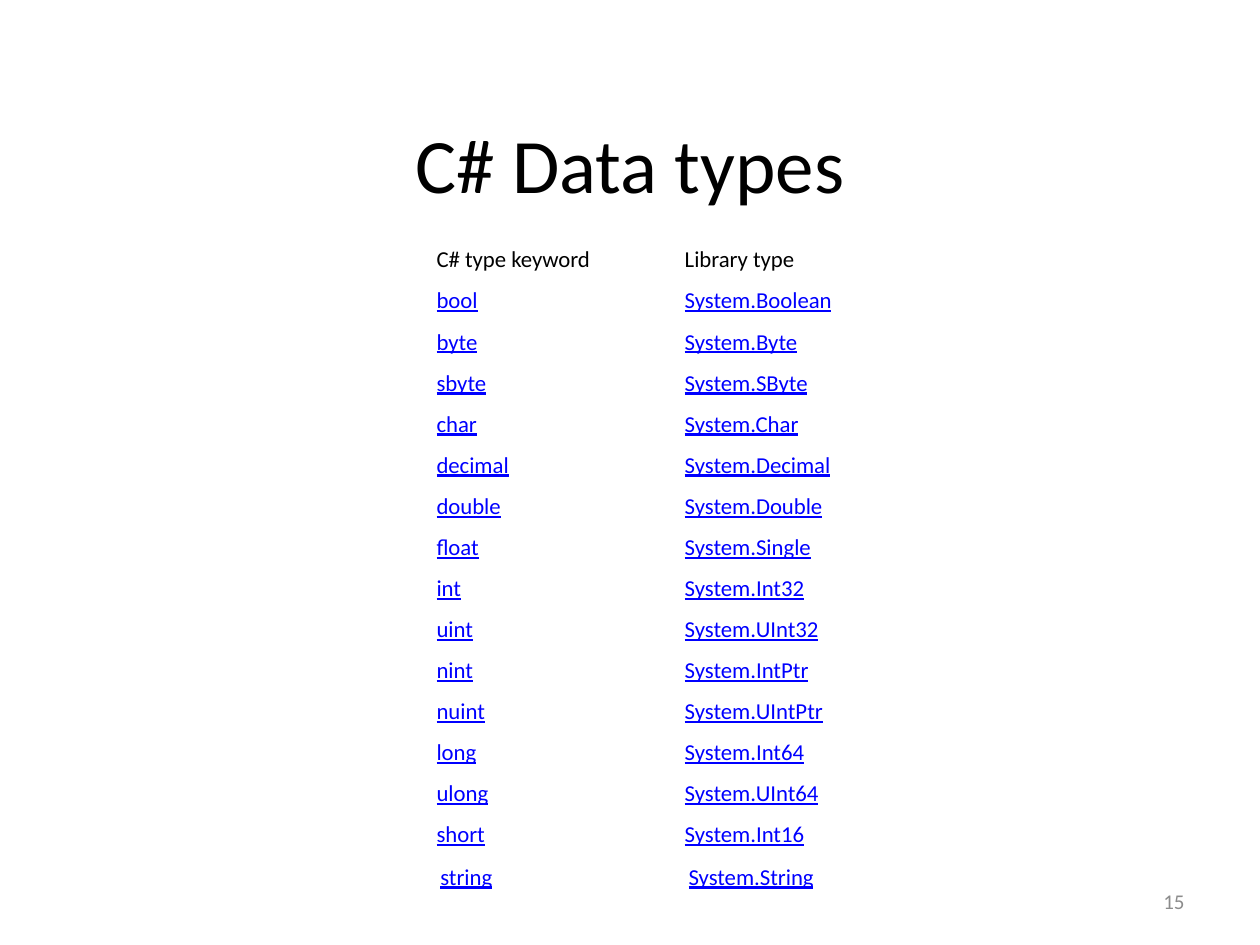
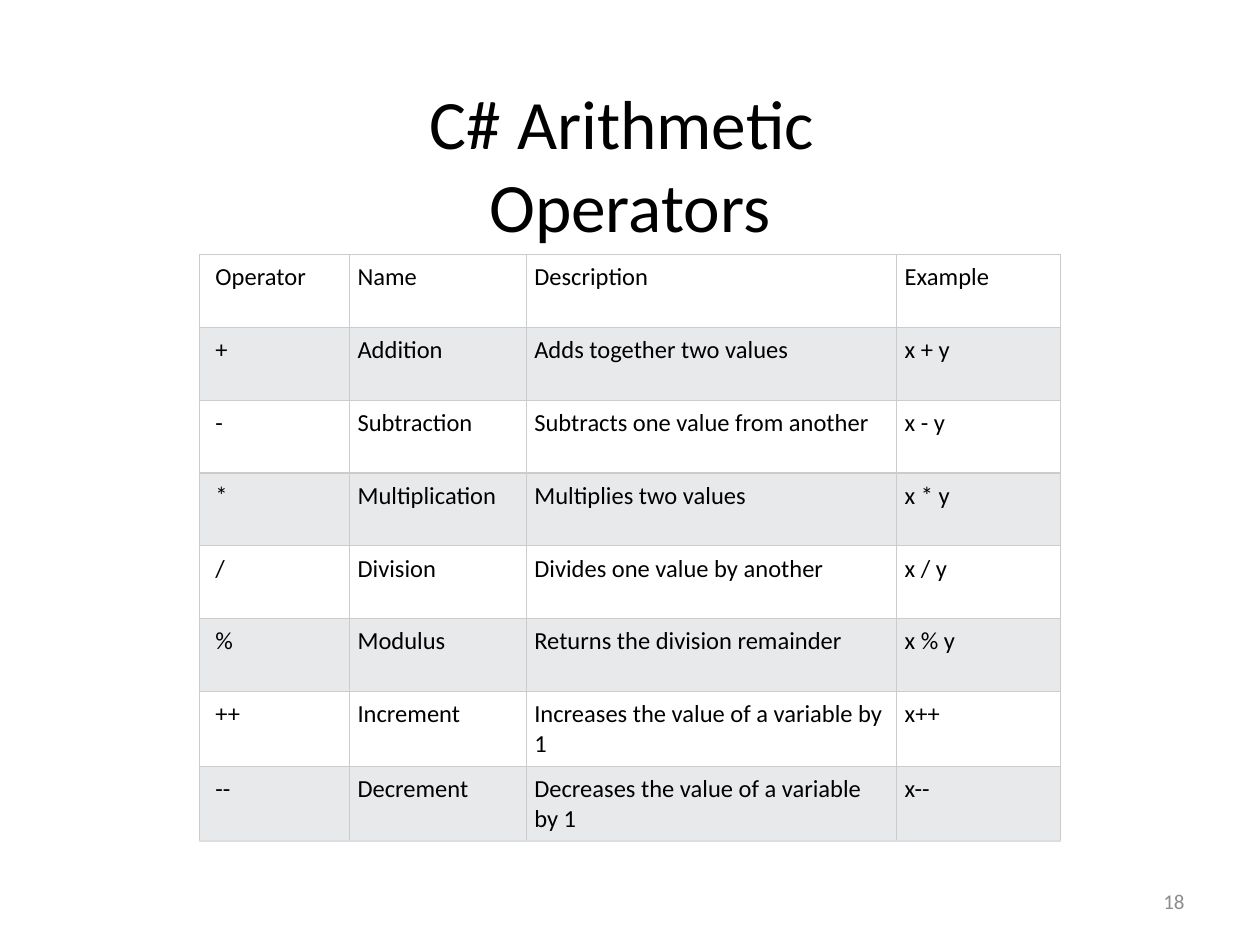
from dataclasses import dataclass
from typing import Optional

from lxml.etree import SubElement
from pptx import Presentation
from pptx.dml.color import RGBColor
from pptx.enum.text import MSO_ANCHOR, MSO_AUTO_SIZE, PP_ALIGN
from pptx.oxml.ns import qn
from pptx.util import Emu, Inches, Pt

# Shared look
FONT = "Calibri"
BLACK = RGBColor(0x00, 0x00, 0x00)
WHITE = RGBColor(0xFF, 0xFF, 0xFF)
LINK_BLUE = RGBColor(0x00, 0x00, 0xFF)
NUMBER_GREY = RGBColor(0x8C, 0x8C, 0x8C)
BAND_GREY = RGBColor(0xE7, 0xE9, 0xEB)
RULE_GREY = RGBColor(0xCC, 0xCC, 0xCC)
LAST_RULE_GREY = RGBColor(0xDD, 0xDD, 0xDD)

# Slide grid: 100 columns by 75 rows
SLIDE_W, SLIDE_H = Inches(10), Inches(7.5)
COLS, ROWS = 100, 75


def cols(n: float) -> Emu:
    return Emu(round(SLIDE_W * n / COLS))


def rows(n: float) -> Emu:
    return Emu(round(SLIDE_H * n / ROWS))


@dataclass(frozen=True)
class Box:
    """A place on the slide grid."""
    x: float
    y: float
    w: float
    h: float

    def place(self) -> tuple[Emu, Emu, Emu, Emu]:
        return cols(self.x), rows(self.y), cols(self.w), rows(self.h)


@dataclass(frozen=True)
class TextStyle:
    size: float
    color: RGBColor = BLACK
    underline: Optional[bool] = None


@dataclass(frozen=True)
class Margins:
    left: float
    right: float
    vertical: float


@dataclass(frozen=True)
class TableDesign:
    x: float
    y: float
    col_widths: tuple[float, ...]
    row_heights: tuple[float, ...]
    header: TextStyle
    body: TextStyle
    band: RGBColor
    ruled: bool


TITLE_BOX = Box(5, 6.7, 90, 12.5)
NUMBER_BOX = Box(71.7, 69.5, 23.3, 4)
NUMBER_STYLE = TextStyle(12, NUMBER_GREY)

# Data types table
TYPE_ROWS = [
    ("C# type keyword", "Library type"),
    ("bool", "System.Boolean"),
    ("byte", "System.Byte"),
    ("sbyte", "System.SByte"),
    ("char", "System.Char"),
    ("decimal", "System.Decimal"),
    ("double", "System.Double"),
    ("float", "System.Single"),
    ("int", "System.Int32"),
    ("uint", "System.UInt32"),
    ("nint", "System.IntPtr"),
    ("nuint", "System.UIntPtr"),
    ("long", "System.Int64"),
    ("ulong", "System.UInt64"),
    ("short", "System.Int16"),
    ("string", "System.String"),
]
TYPE_DESIGN = TableDesign(
    x=33.95, y=19.15, col_widths=(19.7,) * 2, row_heights=(3.26,) * 15 + (3.6,),
    header=TextStyle(13), body=TextStyle(13, LINK_BLUE, True),
    band=WHITE, ruled=False)
TYPE_MARGINS = Margins(0.7, 0.7, 0.4)
LAST_TYPE_MARGINS = Margins(1, 1, 0.5)

# Operators table
OPERATOR_ROWS = [
    ("Operator", "Name", "Description", "Example"),
    ("+", "Addition", "Adds together two values", "x + y"),
    ("-", "Subtraction", "Subtracts one value from another", "x - y"),
    ("*", "Multiplication", "Multiplies two values", "x * y"),
    ("/", "Division", "Divides one value by another", "x / y"),
    ("%", "Modulus", "Returns the division remainder", "x % y"),
    ("++", "Increment", "Increases the value of a variable by 1", "x++"),
    ("--", "Decrement", "Decreases the value of a variable by 1", "x--"),
]
OPERATOR_DESIGN = TableDesign(
    x=15.8, y=20.2, col_widths=(11.95, 14.03, 29.4, 13), row_heights=(5.78,) * 8,
    header=TextStyle(14), body=TextStyle(14), band=BAND_GREY, ruled=True)
FIRST_OPERATOR_MARGINS = Margins(1.3, 0.63, 0.63)
OPERATOR_MARGINS = Margins(0.63, 0.63, 0.63)


def add_run(p, text: str, style: TextStyle) -> None:
    r = p.add_run()
    r.text = text
    r.font.name = FONT
    r.font.size = Pt(style.size)
    r.font.color.rgb = style.color
    r.font.underline = style.underline


def add_slide(prs, title_lines: list[str], title_size: float, number: str):
    """Add a slide with its title and slide number."""
    s = prs.slides.add_slide(prs.slide_layouts[5])
    title = s.shapes.title
    title.left, title.top, title.width, title.height = TITLE_BOX.place()
    tf = title.text_frame
    tf.auto_size = MSO_AUTO_SIZE.NONE
    tf.vertical_anchor = MSO_ANCHOR.MIDDLE
    p = tf.paragraphs[0]
    p.alignment = PP_ALIGN.CENTER
    for i, line in enumerate(title_lines):
        if i:
            p.add_line_break()
        add_run(p, line, TextStyle(title_size))

    tf = s.shapes.add_textbox(*NUMBER_BOX.place()).text_frame
    tf.word_wrap = True
    tf.vertical_anchor = MSO_ANCHOR.MIDDLE
    p = tf.paragraphs[0]
    p.alignment = PP_ALIGN.RIGHT
    add_run(p, number, NUMBER_STYLE)
    return s


def add_borders(cell, bottom: RGBColor) -> None:
    tc_pr = cell._tc.get_or_add_tcPr()
    for side in "LRTB":
        ln = SubElement(tc_pr, qn(f"a:ln{side}"), w=str(Pt(0.75)))
        fill = SubElement(ln, qn("a:solidFill"))
        color = bottom if side == "B" else RULE_GREY
        SubElement(fill, qn("a:srgbClr"), val=str(color))


def cell_margins(design: TableDesign, row: int, col: int) -> Margins:
    if design.ruled:
        return OPERATOR_MARGINS if col else FIRST_OPERATOR_MARGINS
    is_last = row == len(design.row_heights) - 1
    return LAST_TYPE_MARGINS if is_last else TYPE_MARGINS


def add_data_table(s, design: TableDesign, data: list[tuple[str, ...]]) -> None:
    box = Box(design.x, design.y, sum(design.col_widths), sum(design.row_heights))
    table = s.shapes.add_table(len(data), len(data[0]), *box.place()).table
    table.first_row = table.horz_banding = False
    for column, width in zip(table.columns, design.col_widths):
        column.width = cols(width)
    for row, height in zip(table.rows, design.row_heights):
        row.height = rows(height)

    for i, texts in enumerate(data):
        for j, text in enumerate(texts):
            cell = table.cell(i, j)
            m = cell_margins(design, i, j)
            cell.margin_left, cell.margin_right = cols(m.left), cols(m.right)
            cell.margin_top = cell.margin_bottom = rows(m.vertical)
            if design.ruled:
                is_last = i == len(data) - 1
                add_borders(cell, LAST_RULE_GREY if is_last else RULE_GREY)
            cell.fill.solid()
            cell.fill.fore_color.rgb = design.band if i % 2 else WHITE
            style = design.body if i else design.header
            add_run(cell.text_frame.paragraphs[0], text, style)


def main() -> None:
    prs = Presentation()
    prs.slide_width, prs.slide_height = SLIDE_W, SLIDE_H

    # Data types
    s = add_slide(prs, ["C# Data types"], 44, "15")
    add_data_table(s, TYPE_DESIGN, TYPE_ROWS)

    # Arithmetic operators
    s = add_slide(prs, ["C# Arithmetic ", "Operators"], 39.6, "18")
    add_data_table(s, OPERATOR_DESIGN, OPERATOR_ROWS)

    prs.save("out.pptx")


if __name__ == "__main__":
    main()
